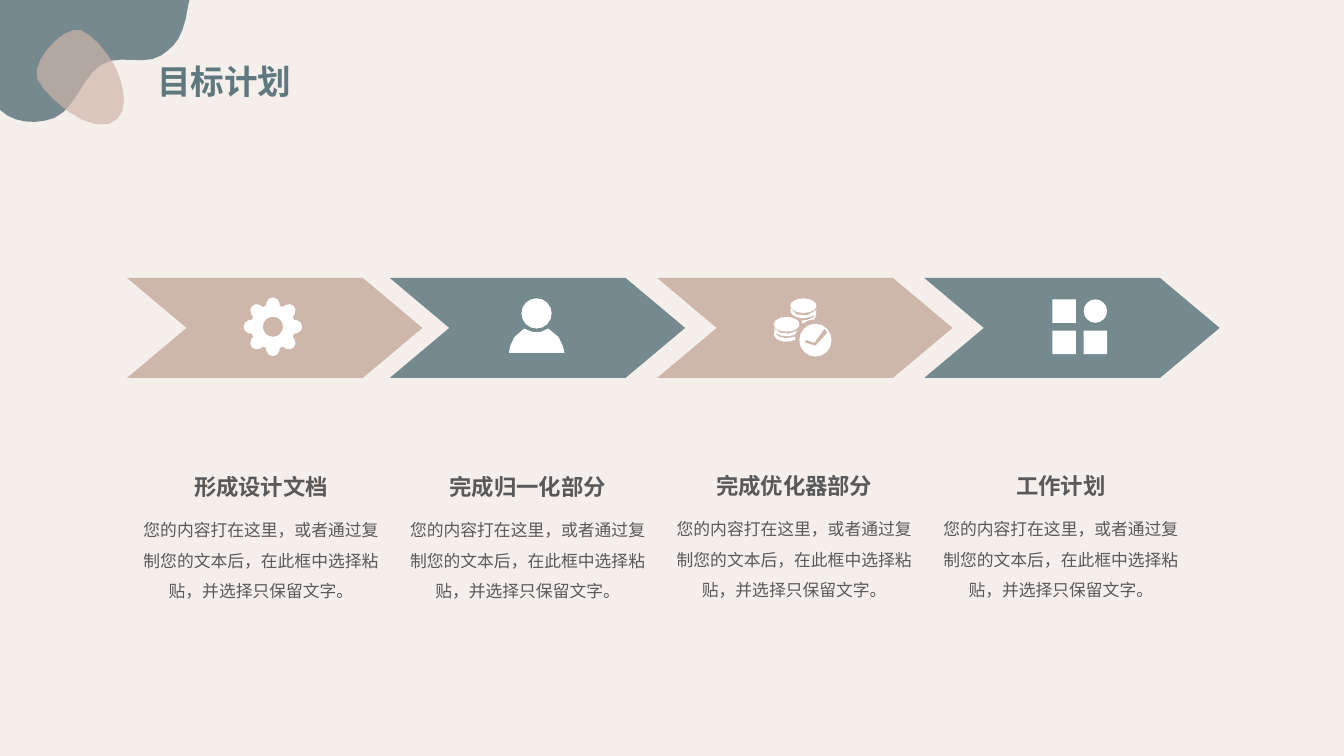
"""Builds the goal plan slide: four chevron steps with icons, headings and descriptions."""
from dataclasses import dataclass
from math import cos, pi, sin, sqrt

from lxml.etree import SubElement
from pptx import Presentation
from pptx.dml.color import RGBColor
from pptx.enum.text import MSO_AUTO_SIZE as AutoSize, PP_ALIGN as Align
from pptx.oxml.ns import qn
from pptx.slide import Slide
from pptx.util import Pt

Point = tuple[float, float]
Contour = list[Point]

CREAM = RGBColor(0xF4, 0xEF, 0xEB)
SLATE = RGBColor(0x75, 0x8A, 0x8F)
DEEP_SLATE = RGBColor(0x5F, 0x78, 0x7F)
ROSE = RGBColor(0xCE, 0xB6, 0xAA)
WHITE = RGBColor(0xFF, 0xFF, 0xFF)
GREY = RGBColor(0x59, 0x59, 0x59)

FONT = "Noto Sans CJK SC"
GRID = 0.72
DESCRIPTION = "您的内容打在这里，或者通过复制您的文本后，在此框中选择粘贴，并选择只保留文字。"
COLUMN_CENTER, COLUMN_PITCH = 186.5, 190.44
HEADING_WIDTH, DESCRIPTION_WIDTH = 126.72, 172.8
ARROW_TOP, ARROW_WIDTH, ARROW_HEIGHT, ARROW_NOTCH = 198.5, 211, 71.5, 42.6

CORNER_BLOB = (
    "0 108; 0 0; 188 0; 187 4; 182 38 174 45 160 55; 143 66 119 53 101 64; "
    "83 74 74 109 54 117; 36 124 13 122 0 109"
)
PETAL = (
    "73 30; 85 24 111 56 117 72; 123 87 130 116 108 123; "
    "85 131 43 94 37 78; 31 62 58 32 73 30"
)
SHOULDERS = "505 350; 505 346 507 333 520 326; 528 331 537 331 544 326; 558 333 559 346 560 350"
COIN_EDGES = (
    "787 313; 789 314; 792 315; 794 316 798 316 801 315; 804 315 807 313 809 312; "
    "810 310 810 308 810 306; 809 308; 805 315 786 315 784 306; 784 309 785 312 787 313",
    "795 318; 796 321; 800 319; 802 318 804 317 808 317; 810 311; 808 316 801 318 795 318",
    "791 328; 785 333 770 332 768 325; 769 330; 773 334 784 335 789 332; 791 327",
    "768 329; 768 333; 769 336 773 338 777 339; 781 339 786 339 789 337; 789 334; "
    "782 337 770 336 768 329",
)
CHECK_MARK = "809 343; 799 340; 799 337; 808 340; 818 326; 821 330"


@dataclass(frozen=True)
class Step:
    heading: str
    arrow_left: float
    heading_top: float
    color: RGBColor
    icon: list[Contour]


def trace(outline: str, steps: int = 3) -> Contour:
    points: Contour = []
    for segment in outline.split(";"):
        values = [float(value) * GRID for value in segment.split()]
        pairs = list(zip(values[::2], values[1::2]))
        if len(pairs) == 1:
            points += pairs
            continue
        (x0, y0), ((x1, y1), (x2, y2), (x3, y3)) = points[-1], pairs
        for t in (k / steps for k in range(1, steps + 1)):
            a, b, c, d = (1 - t) ** 3, 3 * t * (1 - t) ** 2, 3 * t * t * (1 - t), t ** 3
            points.append((a * x0 + b * x1 + c * x2 + d * x3,
                           a * y0 + b * y1 + c * y2 + d * y3))
    return points


def ellipse(x: float, y: float, rx: float, ry: float) -> Contour:
    angles = [k * pi / 8 for k in range(16)]
    return [((x + rx * cos(a)) * GRID, (y + ry * sin(a)) * GRID) for a in angles]


def square(x: float, y: float, side: float) -> Contour:
    corners = [(x, y), (x + side, y), (x + side, y + side), (x, y + side)]
    return [(cx * GRID, cy * GRID) for cx, cy in corners]


def gear(x: float, y: float) -> Contour:
    body, lobe_distance, lobe_radius = 22, 22.5, 6.6
    points: Contour = []
    for tooth in range(8):
        for offset in (-18, -15, -8, 0, 8, 15, 18):
            angle, lobe_angle = (tooth * 45 + offset) * pi / 180, offset * pi / 180
            reach = lobe_radius ** 2 - (lobe_distance * sin(lobe_angle)) ** 2
            lobe = lobe_distance * cos(lobe_angle) + sqrt(max(reach, 0))
            radius = max(body, lobe)
            points.append(((x + radius * cos(angle)) * GRID, (y + radius * sin(angle)) * GRID))
    return points


def chevron(left: float) -> Contour:
    right, bottom = left + ARROW_WIDTH, ARROW_TOP + ARROW_HEIGHT
    middle = ARROW_TOP + ARROW_HEIGHT / 2
    return [(left, ARROW_TOP), (right - ARROW_NOTCH, ARROW_TOP), (right, middle),
            (right - ARROW_NOTCH, bottom), (left, bottom), (left + ARROW_NOTCH, middle)]


def draw(slide: Slide, contours: list[Contour], color: RGBColor, opacity: int = 100) -> None:
    scaled = [[(Pt(x), Pt(y)) for x, y in contour] for contour in contours]
    builder = slide.shapes.build_freeform(*scaled[0][0], scale=1.0)
    for index, (start, *rest) in enumerate(scaled):
        if index:
            builder.move_to(*start)
        builder.add_line_segments(rest, close=True)
    drawn = builder.convert_to_shape()
    drawn.shadow.inherit = False
    drawn.line.fill.background()
    drawn.fill.solid()
    drawn.fill.fore_color.rgb = color
    if opacity < 100:
        tint = drawn.element.spPr.find(qn("a:solidFill"))[0]
        SubElement(tint, qn("a:alpha"), val=str(opacity * 1000))


def write(slide: Slide, text: str, *, left: float, top: float, width: float, height: float,
          size: float, color: RGBColor = GREY, bold: bool = False, align: Align = Align.CENTER,
          spacing: float = 1.0, inset: bool = False, wrap: bool = True) -> None:
    box = slide.shapes.add_textbox(Pt(left), Pt(top), Pt(width), Pt(height))
    frame = box.text_frame
    frame.word_wrap = wrap
    frame.auto_size = AutoSize.SHAPE_TO_FIT_TEXT
    if not inset:
        frame.margin_left = frame.margin_right = frame.margin_top = frame.margin_bottom = 0
    paragraph = frame.paragraphs[0]
    paragraph.alignment = align
    paragraph.line_spacing = spacing
    run = paragraph.add_run()
    run.text = text
    run.font.size = Pt(size)
    run.font.bold = bold
    run.font.name = FONT
    run.font.color.rgb = color
    SubElement(run._r.get_or_add_rPr(), qn("a:ea"), typeface=FONT)


def draw_step(slide: Slide, step: Step, center: float) -> None:
    draw(slide, [chevron(step.arrow_left)], step.color)
    draw(slide, step.icon, WHITE)
    write(slide, step.heading, left=center - HEADING_WIDTH / 2, top=step.heading_top,
          width=HEADING_WIDTH, height=19.4, size=16, bold=True)
    write(slide, DESCRIPTION, left=center - DESCRIPTION_WIDTH / 2, top=step.heading_top + 26.64,
          width=DESCRIPTION_WIDTH, height=65.5, size=12, spacing=1.5)


def main() -> None:
    gear_icon = [gear(270.8, 324.2), ellipse(270.8, 324.2, 10, 10)]
    person_icon = [ellipse(532.3, 311, 15, 15), trace(SHOULDERS)]
    coins_icon = [ellipse(797, 303.3, 13, 7.2), ellipse(780.4, 321.8, 12.7, 7.3),
                  *(trace(edge) for edge in COIN_EDGES),
                  ellipse(809, 337.5, 16, 16.3), trace(CHECK_MARK)]
    tiles_icon = [square(1044, 297, 23.3), square(1044, 328, 23.3), square(1075, 328, 23.3),
                  ellipse(1086.7, 308.6, 11.6, 11.6)]
    plan = [
        Step("形成设计文档", 90.72, 337.68, ROSE, gear_icon),
        Step("完成归一化部分", 278.4, 337.68, SLATE, person_icon),
        Step("完成优化器部分", 469.4, 336.96, ROSE, coins_icon),
        Step("工作计划", 660.2, 336.96, SLATE, tiles_icon),
    ]

    deck = Presentation()
    deck.slide_width, deck.slide_height = Pt(960), Pt(540)
    slide = deck.slides.add_slide(deck.slide_layouts[6])
    slide.background.fill.solid()
    slide.background.fill.fore_color.rgb = CREAM
    for column, step in enumerate(plan):
        draw_step(slide, step, COLUMN_CENTER + column * COLUMN_PITCH)
    draw(slide, [trace(CORNER_BLOB, steps=6)], DEEP_SLATE, opacity=85)
    draw(slide, [trace(PETAL, steps=6)], ROSE, opacity=70)
    write(slide, "目标计划", left=105.12, top=40.32, width=111.6, height=36, size=24,
          color=DEEP_SLATE, bold=True, align=Align.LEFT, inset=True, wrap=False)
    deck.save("out.pptx")


if __name__ == "__main__":
    main()
